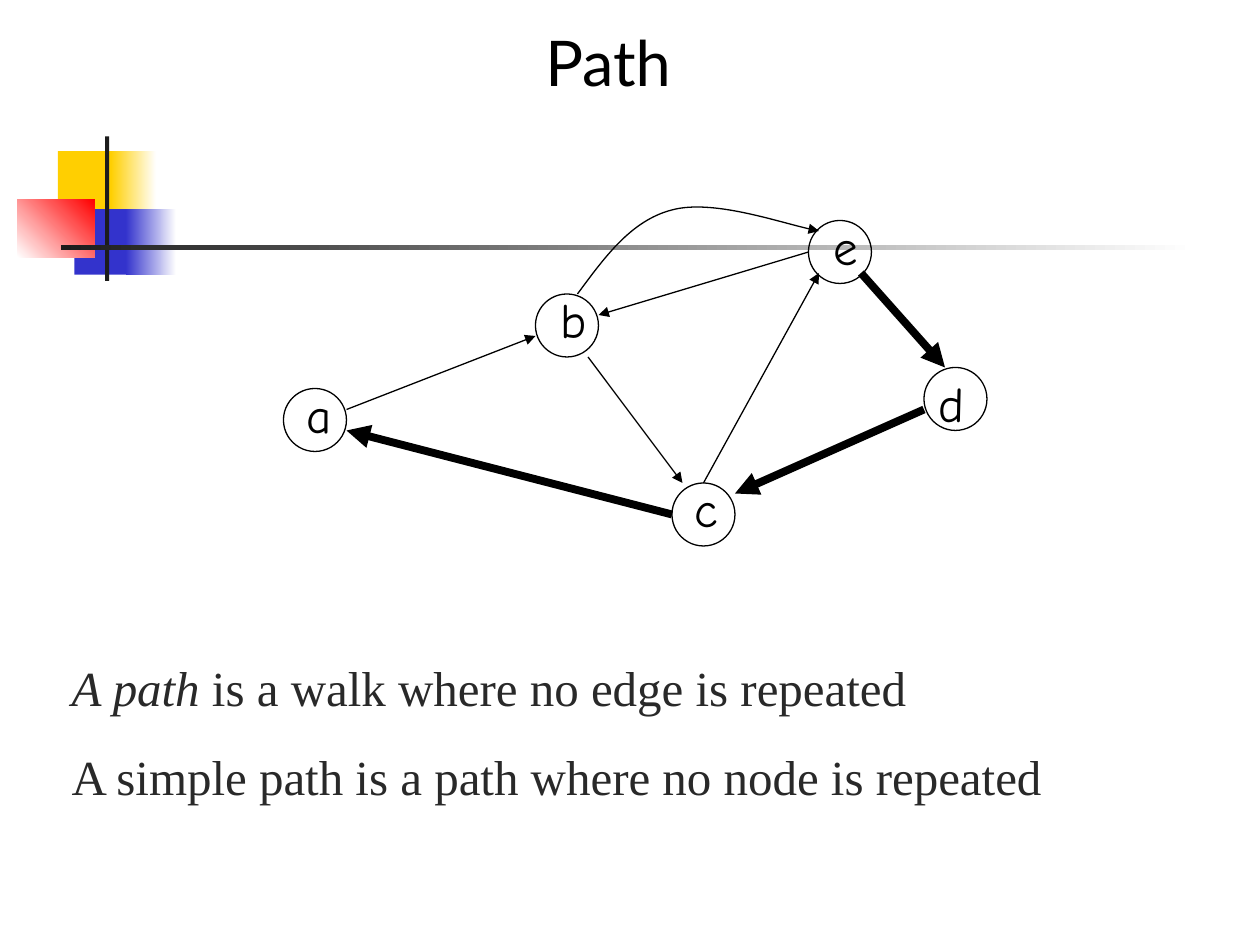
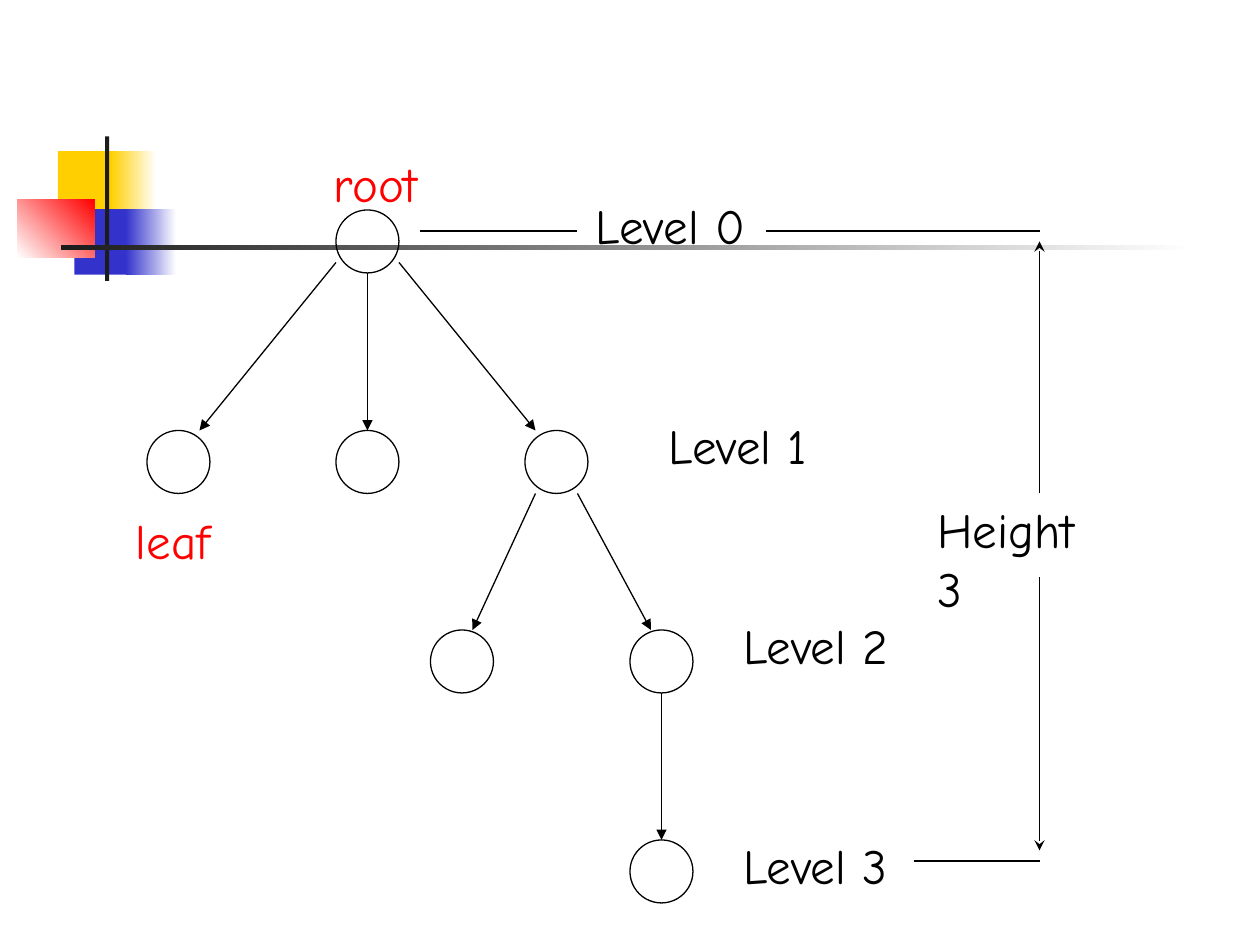
from dataclasses import dataclass

from pptx import Presentation
from pptx.dml.color import RGBColor
from pptx.enum.shapes import MSO_CONNECTOR as Connector, MSO_SHAPE as Preset
from pptx.enum.text import MSO_AUTO_SIZE as AutoSize
from pptx.oxml.ns import qn
from pptx.oxml.xmlchemy import OxmlElement
from pptx.util import Pt


@dataclass(frozen=True)
class Theme:
    black: str = "000000"
    white: str = "FFFFFF"
    red: str = "FF0000"
    yellow: str = "FFCF01"
    blue: str = "3333CC"
    bar: str = "1C1C1C"
    body: str = "292929"
    title_font: str = "Lato"
    label_font: str = "Comic Neue"
    body_font: str = "Times New Roman"
    title_size: float = 36
    text_size: float = 28
    paragraph_gap: float = 17.5
    thin: float = 0.75
    thick: float = 4.5
    node_size: float = 36
    label_height: float = 41


theme = Theme()


def style_line(shape, width, arrow=None):
    shape.line.color.rgb = RGBColor.from_string(theme.black)
    shape.line.width = Pt(width)
    properties = shape.element.spPr
    if arrow:
        tail = OxmlElement("a:tailEnd")
        tail.set("type", arrow)
        properties.find(qn("a:ln")).append(tail)
    properties.append(OxmlElement("a:effectLst"))


def add_text(slide, box, paragraphs, font, size, color):
    shape = slide.shapes.add_textbox(*map(Pt, box))
    text_frame = shape.text_frame
    text_frame.text = "\n".join(paragraphs)
    text_frame.word_wrap = False
    text_frame.auto_size = AutoSize.SHAPE_TO_FIT_TEXT
    for index, paragraph in enumerate(text_frame.paragraphs):
        if index:
            paragraph.space_before = Pt(theme.paragraph_gap)
        paragraph.font.name = font
        paragraph.font.size = Pt(size)
        paragraph.font.color.rgb = RGBColor.from_string(color)
        for run in paragraph.runs:
            run.font.name = font
            run.font.size = Pt(size)
            run.font.color.rgb = RGBColor.from_string(color)
    return text_frame


band = [
    ((33.1, 86.4, 34.6, 37.4), [theme.yellow], 0),
    ((63.4, 86.4, 25.9, 37.4), [theme.yellow, theme.white], 0),
    ((42.5, 119.5, 33.1, 37.4), [theme.blue], 0),
    ((72, 119.5, 28.8, 37.4), [theme.blue, theme.white], 0),
    ((10, 113.8, 44, 33.1), [theme.white, theme.red], 45),
    ((60, 78, 2.4, 82.6), [theme.bar], 0),
    ((34.8, 140.2, 648, 2.4), [theme.bar, theme.white], 0),
]

path_graph = {
    "nodes": [(384, 276), (306, 168), (528, 210), (162, 222), (462, 126)],
    "lines": [
        ((198, 234), (306, 192), theme.thin, "triangle"),
        ((336, 204), (390, 276), theme.thin, "triangle"),
        ((402, 276), (468, 156), theme.thin, "triangle"),
        ((462, 144), (342, 180), theme.thin, "triangle"),
        ((528, 234), (420, 282), theme.thick, "triangle"),
        ((384, 294), (198, 246), theme.thick, "triangle"),
        ((492, 156), (540, 210), theme.thick, "triangle"),
    ],
    "labels": [
        ("a", 168, 216, 29, theme.black),
        ("b", 313, 162, 29.5, theme.black),
        ("c", 390, 270, 27.5, theme.black),
        ("d", 529, 210, 29, theme.black),
        ("e", 469, 120, 28, theme.black),
    ],
}

level_tree = {
    "nodes": [(192, 120), (84, 246), (192, 246), (300, 246),
              (246, 360), (360, 360), (360, 480)],
    "lines": [
        ((192, 150), (114, 246), theme.thin, "triangle"),
        ((210, 156), (210, 246), theme.thin, "triangle"),
        ((228, 150), (306, 246), theme.thin, "triangle"),
        ((306, 282), (270, 360), theme.thin, "triangle"),
        ((330, 282), (372, 360), theme.thin, "triangle"),
        ((378, 396), (378, 480), theme.thin, "triangle"),
        ((240, 132), (330, 132), theme.thin, None),
        ((438, 132), (594, 132), theme.thin, None),
        ((522, 492), (594, 492), theme.thin, None),
        ((594, 282), (594, 138), theme.thin, "stealth"),
        ((594, 330), (594, 486), theme.thin, "stealth"),
    ],
    "labels": [
        ("root", 183.6, 84, 62.6, theme.red),
        ("leaf", 70.6, 288, 56.9, theme.red),
        ("Level 0", 333.4, 108, 100, theme.black),
        ("Level 1", 375, 234, 94.3, theme.black),
        ("Level 2", 417.6, 348, 98, theme.black),
        ("Level 3", 417.6, 474, 97.2, theme.black),
        ("Height 3", 528.5, 282, 116, theme.black),
    ],
}

presentation = Presentation()
presentation.slide_width = Pt(720)
presentation.slide_height = Pt(540)

for diagram in (path_graph, level_tree):
    slide = presentation.slides.add_slide(presentation.slide_layouts[6])

    for box, colors, angle in band:
        shape = slide.shapes.add_shape(Preset.RECTANGLE, *map(Pt, box))
        shape.shadow.inherit = False
        shape.line.fill.background()
        if len(colors) == 1:
            shape.fill.solid()
            shape.fill.fore_color.rgb = RGBColor.from_string(colors[0])
        else:
            shape.fill.gradient()
            shape.fill.gradient_angle = angle
            for stop, color in zip(shape.fill.gradient_stops, colors):
                stop.color.rgb = RGBColor.from_string(color)

    for left, top in diagram["nodes"]:
        node = slide.shapes.add_shape(
            Preset.OVAL, Pt(left), Pt(top), Pt(theme.node_size), Pt(theme.node_size))
        node.fill.background()
        style_line(node, theme.thin)

    for start, end, width, arrow in diagram["lines"]:
        connector = slide.shapes.add_connector(
            Connector.STRAIGHT, *map(Pt, start + end))
        style_line(connector, width, arrow)

    for text, left, top, width, color in diagram["labels"]:
        add_text(slide, (left, top, width, theme.label_height), [text],
                 theme.label_font, theme.text_size, color)

slide = presentation.slides[0]
add_text(slide, (304.6, 10, 91.4, 50.4), ["Path"],
         theme.title_font, theme.title_size, theme.black)

definitions = add_text(
    slide, (33.8, 372.2, 570.2, 92.2),
    ["A path", "A simple path is a path where no node is repeated"],
    theme.body_font, theme.text_size, theme.body)
first_paragraph = definitions.paragraphs[0]
first_paragraph.runs[0].font.italic = True
explanation = first_paragraph.add_run()
explanation.text = " is a walk where no edge is repeated"
explanation.font.name = theme.body_font
explanation.font.size = Pt(theme.text_size)
explanation.font.color.rgb = RGBColor.from_string(theme.body)

curve_points = [(345.6, 146.9), (360.7, 126), (384, 120),
                (406.8, 113.8), (450.7, 128.9), (468, 132)]
builder = slide.shapes.build_freeform(Pt(330), Pt(168))
builder.add_line_segments([(Pt(x), Pt(y)) for x, y in curve_points], close=False)
curve = builder.convert_to_shape()
segments = list(curve.element.iter(qn("a:lnTo")))
for first in range(0, len(segments), 3):
    bezier = OxmlElement("a:cubicBezTo")
    segments[first].addprevious(bezier)
    for segment in segments[first:first + 3]:
        bezier.append(segment[0])
        segment.getparent().remove(segment)
curve.fill.background()
style_line(curve, theme.thin, "triangle")

presentation.save("out.pptx")
